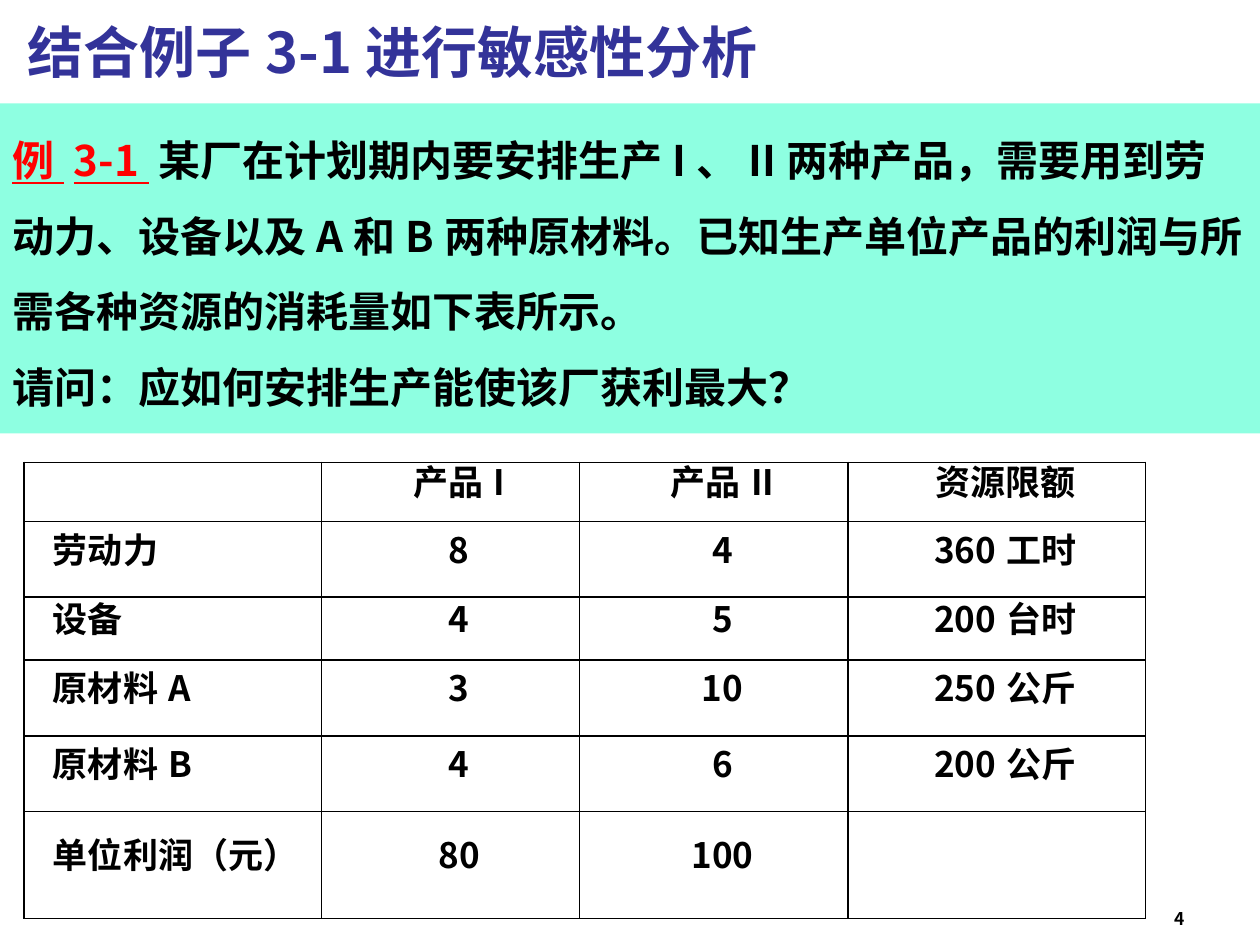
from dataclasses import dataclass

from lxml import etree
from pptx import Presentation
from pptx.dml.color import RGBColor
from pptx.enum.shapes import MSO_SHAPE
from pptx.enum.text import MSO_ANCHOR, PP_ALIGN
from pptx.oxml.ns import qn
from pptx.util import Inches, Pt

RECTANGLE = MSO_SHAPE.RECTANGLE
TOP, MIDDLE, BOTTOM = MSO_ANCHOR.TOP, MSO_ANCHOR.MIDDLE, MSO_ANCHOR.BOTTOM
LEFT, CENTER, RIGHT, JUSTIFY = (
    PP_ALIGN.LEFT, PP_ALIGN.CENTER, PP_ALIGN.RIGHT, PP_ALIGN.JUSTIFY)


@dataclass(frozen=True)
class Theme:
    font: str = "Noto Sans CJK SC"
    title_color: str = "333399"
    text_color: str = "000000"
    label_color: str = "FF0000"
    panel_color: str = "8EFFE1"
    border_color: str = "000000"
    title_size: int = 32
    body_size: int = 24
    table_size: int = 20
    number_size: int = 10
    body_spacing: float = 1.5
    table_spacing: int = 16
    border_width: int = 1


class SlideBuilder:
    def __init__(self, slide, theme):
        self.slide = slide
        self.theme = theme

    def style_span(self, span, size, color):
        font = span.font
        font.size, font.bold, font.name = Pt(size), True, self.theme.font
        font.color.rgb = RGBColor.from_string(color)
        east_asian = etree.Element(qn("a:ea"), typeface=self.theme.font)
        font._element.find(qn("a:latin")).addnext(east_asian)

    def add_text(self, text, area, size, color, align, anchor):
        box = self.slide.shapes.add_textbox(*map(Inches, area))
        frame = box.text_frame
        frame.word_wrap = True
        frame.vertical_anchor = anchor
        frame.text = text
        para = frame.paragraphs[0]
        para.alignment = align
        self.style_span(para.runs[0], size, color)

    def add_panel(self, label, paragraphs, area):
        """Add a filled panel whose first paragraph opens with an underlined label."""
        theme = self.theme
        panel = self.slide.shapes.add_shape(RECTANGLE, *map(Inches, area))
        panel.shadow.inherit = False
        panel.fill.solid()
        panel.fill.fore_color.rgb = RGBColor.from_string(theme.panel_color)
        panel.line.fill.background()
        frame = panel.text_frame
        frame.word_wrap = True
        frame.vertical_anchor = TOP
        frame.text = label
        label_span = frame.paragraphs[0].runs[0]
        self.style_span(label_span, theme.body_size, theme.label_color)
        label_span.font.underline = True
        for index, text in enumerate(paragraphs):
            para = frame.add_paragraph() if index else frame.paragraphs[0]
            para.alignment = LEFT
            para.line_spacing = theme.body_spacing
            span = para.add_run()
            span.text = text
            self.style_span(span, theme.body_size, theme.text_color)

    def add_borders(self, cell):
        properties = cell._tc.get_or_add_tcPr()
        for index, side in enumerate(("lnL", "lnR", "lnT", "lnB")):
            line = etree.Element(qn(f"a:{side}"), w=str(Pt(self.theme.border_width)))
            fill = etree.SubElement(line, qn("a:solidFill"))
            etree.SubElement(fill, qn("a:srgbClr"), val=self.theme.border_color)
            properties.insert(index, line)

    def fill_cell(self, cell, text, align):
        cell.fill.background()
        self.add_borders(cell)
        cell.vertical_anchor = MIDDLE
        cell.margin_left = cell.margin_right = Inches(0.09)
        cell.margin_top = cell.margin_bottom = Inches(0.04)
        if not text:
            return
        cell.text_frame.text = text
        para = cell.text_frame.paragraphs[0]
        para.alignment = align
        para.line_spacing = Pt(self.theme.table_spacing)
        properties = para._p.get_or_add_pPr()
        properties.set("marL", "0")
        properties.set("indent", str(Inches(0.14)))
        self.style_span(para.runs[0], self.theme.table_size, self.theme.text_color)

    def add_table(self, rows, left, top, widths, heights):
        frame = self.slide.shapes.add_table(
            len(rows), len(widths), Inches(left), Inches(top),
            Inches(sum(widths)), Inches(sum(heights)))
        table = frame.table
        table.first_row = table.horz_banding = False
        for column, width in zip(table.columns, widths):
            column.width = Inches(width)
        for row, height, texts in zip(table.rows, heights, rows):
            row.height = Inches(height)
            for index, (cell, text) in enumerate(zip(row.cells, texts)):
                self.fill_cell(cell, text, CENTER if index else JUSTIFY)


def main():
    deck = Presentation()
    deck.slide_width, deck.slide_height = Inches(10), Inches(7.5)
    theme = Theme()
    page = SlideBuilder(deck.slides.add_slide(deck.slide_layouts[6]), theme)

    page.add_text("4", (7.42, 6.92, 2.08, 0.5), theme.number_size,
                  theme.text_color, RIGHT, BOTTOM)
    page.add_text("结合例子3-1进行敏感性分析", (0.12, 0.1, 9.29, 0.61),
                  theme.title_size, theme.title_color, LEFT, MIDDLE)
    page.add_panel(
        "例 3-1 ",
        ["某厂在计划期内要安排生产I、II两种产品，需要用到劳动力、设备以及A和B两种原材料。"
         "已知生产单位产品的利润与所需各种资源的消耗量如下表所示。",
         "请问：应如何安排生产能使该厂获利最大？"],
        (0, 0.82, 10, 2.62))
    page.add_table(
        [("", "产品I", "产品II", "资源限额"),
         ("劳动力", "8", "4", "360工时"),
         ("设备", "4", "5", "200台时"),
         ("原材料A", "3", "10", "250公斤"),
         ("原材料B", "4", "6", "200公斤"),
         ("单位利润（元）", "80", "100", "")],
        left=0.19, top=3.67,
        widths=(2.36, 2.05, 2.13, 2.36),
        heights=(0.47, 0.6, 0.5, 0.6, 0.6, 0.85))
    deck.save("out.pptx")


if __name__ == "__main__":
    main()
